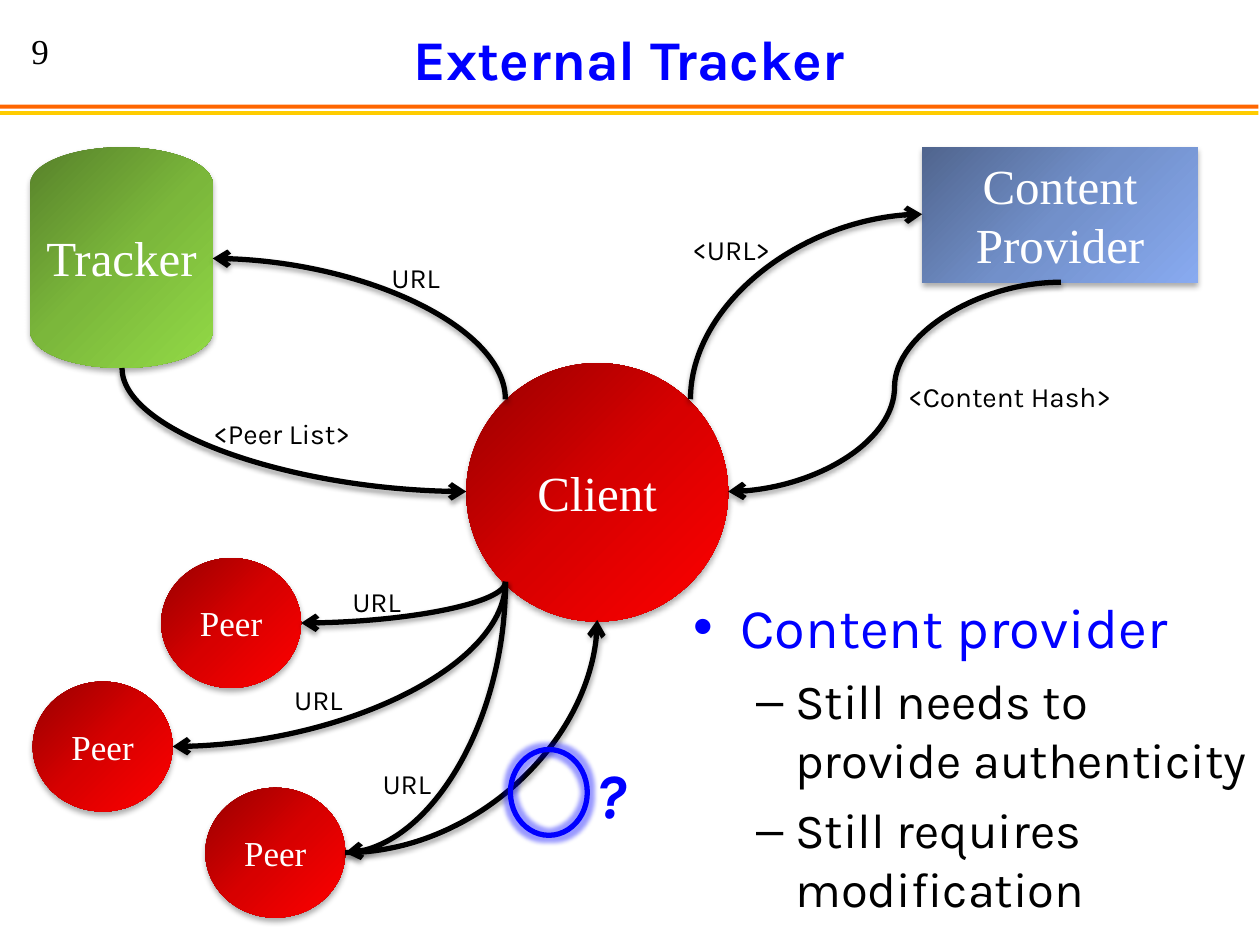
import copy
from dataclasses import dataclass

import lxml.etree
import pptx
import pptx.dml.color
import pptx.enum.shapes
import pptx.enum.text
import pptx.oxml.ns
import pptx.util

Cm, Pt = pptx.util.Cm, pptx.util.Pt
RGB = pptx.dml.color.RGBColor.from_string
qn = pptx.oxml.ns.qn
SHAPE = pptx.enum.shapes.MSO_SHAPE
CURVE = pptx.enum.shapes.MSO_CONNECTOR.CURVE
ALIGN = pptx.enum.text.PP_ALIGN
ANCHOR = pptx.enum.text.MSO_ANCHOR


@dataclass(frozen=True)
class Theme:
    sans: str = "Karla"
    serif: str = "Times New Roman"
    black: str = "000000"
    white: str = "FFFFFF"
    blue: str = "0000FF"
    orange: str = "FF6600"
    yellow: str = "FFCC00"
    red_shades: tuple = ("970000", "D70000", "FF0000")
    green_shades: tuple = ("57812A", "7BB73B", "92DA46")
    blue_shades: tuple = ("50658E", "7290CA", "88AAF0")
    heading: int = 32
    large: int = 28
    small: int = 20
    label: int = 16
    question: int = 36
    stroke: int = 3


theme = Theme()


def write(paragraph, text, font, size, color, align=ALIGN.CENTER):
    paragraph.alignment = align
    run = paragraph.add_run()
    run.text = text
    run.font.name = font
    run.font.size = Pt(size)
    run.font.color.rgb = RGB(color)
    return run


def add_effect(shape, kind, color, alpha, **settings):
    properties = shape._element.spPr
    effects = properties.find(qn("a:effectLst"))
    if effects is None:
        effects = lxml.etree.SubElement(properties, qn("a:effectLst"))
    effect = lxml.etree.SubElement(effects, qn(kind))
    for key, value in settings.items():
        effect.set(key, str(value))
    tone = lxml.etree.SubElement(effect, qn("a:srgbClr"), val=color)
    lxml.etree.SubElement(tone, qn("a:alpha"), val=str(alpha * 1000))


deck = pptx.Presentation()
deck.slide_width, deck.slide_height = Cm(25.4), Cm(19.05)
slide = deck.slides.add_slide(deck.slide_layouts[1])
shapes = slide.shapes

# Title
title = shapes.title
title.left, title.top, title.width, title.height = Cm(0), Cm(0.43), Cm(25.37), Cm(1.47)
title.text_frame.auto_size = pptx.enum.text.MSO_AUTO_SIZE.NONE
title.text_frame.vertical_anchor = ANCHOR.MIDDLE
heading = write(title.text_frame.paragraphs[0], "External Tracker",
                theme.sans, theme.heading, theme.blue)
heading.font.bold = True

# Double rule under the title
for top, color in ((2.11, theme.orange), (2.24, theme.yellow)):
    rule = shapes.add_shape(SHAPE.RECTANGLE, Cm(0), Cm(top), Cm(25.37), Cm(0.08))
    rule.shadow.inherit = False
    rule.fill.solid()
    rule.fill.fore_color.rgb = RGB(color)
    rule.line.fill.background()

# Network nodes: preset, left, top, width, height, shades, lines, text size
peer_width, peer_height = 2.82, 2.62
peers = ((3.25, 11.25), (0.66, 13.74), (4.14, 15.88))
nodes = [
    (SHAPE.RECTANGLE, 18.59, 2.97, 5.56, 2.72, theme.blue_shades,
     ("Content", "Provider"), theme.large),
    (SHAPE.OVAL, 9.4, 7.32, 5.28, 5.21, theme.red_shades, ("Client",), theme.large),
    (SHAPE.FLOWCHART_MAGNETIC_DISK, 0.61, 2.97, 3.68, 4.45, theme.green_shades,
     ("Tracker",), theme.large),
]
for left, top in peers:
    nodes.append((SHAPE.OVAL, left, top, peer_width, peer_height, theme.red_shades,
                  ("Peer",), theme.small))

for preset, left, top, width, height, shades, lines, size in nodes:
    node = shapes.add_shape(preset, Cm(left), Cm(top), Cm(width), Cm(height))
    node.shadow.inherit = False
    node.line.fill.background()
    node.fill.gradient()
    node.fill.gradient_angle = 315
    stops = node._element.spPr.find(".//" + qn("a:gsLst"))
    stops.insert(1, copy.deepcopy(stops[0]))
    for stop, position, shade in zip(node.fill.gradient_stops, (0, 0.5, 1), shades):
        stop.position = position
        stop.color.rgb = RGB(shade)
    add_effect(node, "a:outerShdw", theme.black, 32,
               blurRad=Pt(3.5), dist=Pt(2.2), dir=5400000, rotWithShape=0)
    frame = node.text_frame
    is_disk = preset == SHAPE.FLOWCHART_MAGNETIC_DISK
    frame.vertical_anchor = ANCHOR.TOP if is_disk else ANCHOR.MIDDLE
    for index, line in enumerate(lines):
        paragraph = frame.add_paragraph() if index else frame.paragraphs[0]
        write(paragraph, line, theme.serif, size, theme.white)

# Curved arrows: start, end, and the direction in which the curve leaves its start
peer_ends = [(left + peer_width, top + peer_height / 2) for left, top in peers]
arrows = [((10.19, 11.73), end, "vertical") for end in peer_ends]
arrows += [
    (peer_ends[-1], (12.04, 12.5), "horizontal"),
    ((10.19, 8.05), (4.29, 5.21), "vertical"),
    ((2.46, 7.42), (9.4, 9.91), "vertical"),
    ((13.92, 8.05), (18.59, 4.32), "vertical"),
    ((21.39, 5.69), (14.68, 9.91), "s-curve"),
]
for (x1, y1), (x2, y2), leaving in arrows:
    arrow = shapes.add_connector(CURVE, Cm(x1), Cm(y1), Cm(x2), Cm(y2))
    properties = arrow._element.spPr
    if leaving != "s-curve":
        properties.find(qn("a:prstGeom")).set("prst", "curvedConnector2")
    if leaving == "vertical":
        # A quarter turn about the centre swaps the sides of the box
        across, down = abs(x2 - x1), abs(y2 - y1)
        arrow.left, arrow.top = Cm((x1 + x2 - down) / 2), Cm((y1 + y2 - across) / 2)
        arrow.width, arrow.height = Cm(down), Cm(across)
        turn = properties.find(qn("a:xfrm"))
        turn.set("rot", "5400000")
        turn.set("flipH", str(int(y2 < y1)))
        turn.set("flipV", str(int(x2 > x1)))
    arrow.line.color.rgb = RGB(theme.black)
    arrow.line.width = Pt(theme.stroke)
    lxml.etree.SubElement(properties.find(qn("a:ln")), qn("a:tailEnd"), type="arrow")
    add_effect(arrow, "a:outerShdw", theme.black, 35,
               blurRad=Pt(3.1), dist=Pt(1.8), dir=5400000, rotWithShape=0)

# Ring around the open question
ring = shapes.add_shape(SHAPE.OVAL, Cm(10.29), Cm(15.11), Cm(1.55), Cm(1.73))
ring.shadow.inherit = False
ring.fill.background()
ring.line.color.rgb = RGB(theme.blue)
ring.line.width = Pt(theme.stroke)
add_effect(ring, "a:glow", theme.blue, 40, rad=Pt(5))

# Slide number, message labels and question mark
captions = (
    ("9", -0.36, 0.48, 2.34, 1.12, theme.serif, theme.small, theme.black),
    ("URL", 6.83, 11.66, 1.52, 0.94, theme.sans, theme.label, theme.black),
    ("URL", 5.66, 13.64, 1.52, 0.94, theme.sans, theme.label, theme.black),
    ("URL", 7.44, 15.32, 1.52, 0.94, theme.sans, theme.label, theme.black),
    ("URL", 7.62, 5.13, 1.52, 0.94, theme.sans, theme.label, theme.black),
    ("<Peer List>", 3.94, 8.28, 3.48, 0.94, theme.sans, theme.label, theme.black),
    ("<URL>", 13.56, 4.57, 2.36, 0.94, theme.sans, theme.label, theme.black),
    ("<Content Hash>", 17.98, 7.52, 4.75, 0.94, theme.sans, theme.label, theme.black),
    ("?", 11.71, 15.11, 1.24, 1.8, theme.sans, theme.question, theme.blue),
)
for text, left, top, width, height, font, size, color in captions:
    caption = shapes.add_textbox(Cm(left), Cm(top), Cm(width), Cm(height))
    caption.text_frame.word_wrap = False
    run = write(caption.text_frame.paragraphs[0], text, font, size, color)
    if text == "?":
        run.font.bold = run.font.italic = True

# Remarks on the content provider
remarks = slide.placeholders[1]
remarks.left, remarks.top, remarks.width, remarks.height = Cm(13.72), Cm(11.81), Cm(12.01), Cm(6.83)
remarks.text_frame.auto_size = pptx.enum.text.MSO_AUTO_SIZE.NONE
remarks.text_frame.vertical_anchor = ANCHOR.TOP
points = (
    ("Content provider", 0, "•", 0.95, -0.95, theme.heading, theme.blue, 0),
    ("Still needs to provide authenticity", 1, "–", 2.06, -0.79, theme.large, theme.black, 6.5),
    ("Still requires modification", 1, "–", 2.06, -0.79, theme.large, theme.black, 6.5),
)
for index, (text, level, bullet, margin, indent, size, color, gap) in enumerate(points):
    frame = remarks.text_frame
    point = frame.add_paragraph() if index else frame.paragraphs[0]
    point.level = level
    layout = point._p.get_or_add_pPr()
    layout.set("marL", str(Cm(margin)))
    layout.set("indent", str(Cm(indent)))
    bullet_color = lxml.etree.SubElement(layout, qn("a:buClr"))
    lxml.etree.SubElement(bullet_color, qn("a:srgbClr"), val=color)
    lxml.etree.SubElement(layout, qn("a:buChar"), char=bullet)
    point.space_before = Pt(gap)
    write(point, text, theme.sans, size, color, ALIGN.LEFT)

deck.save("out.pptx")
